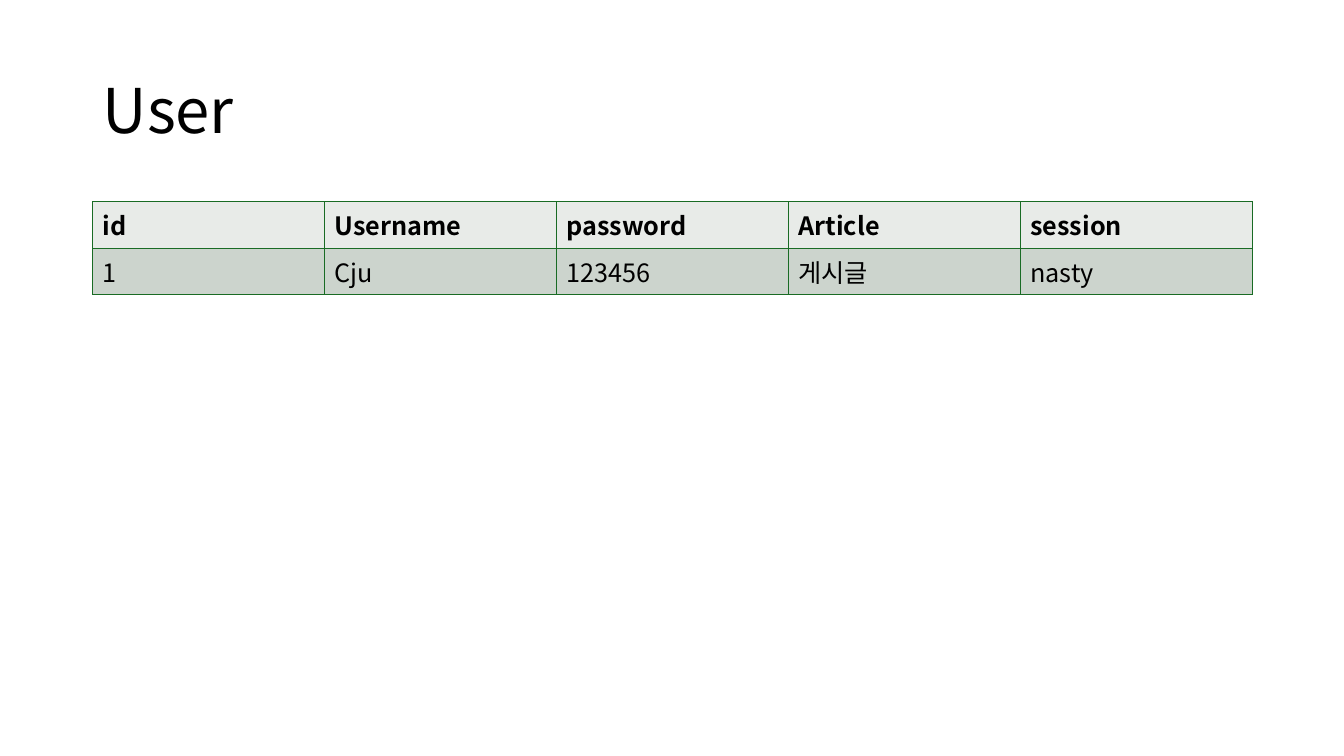
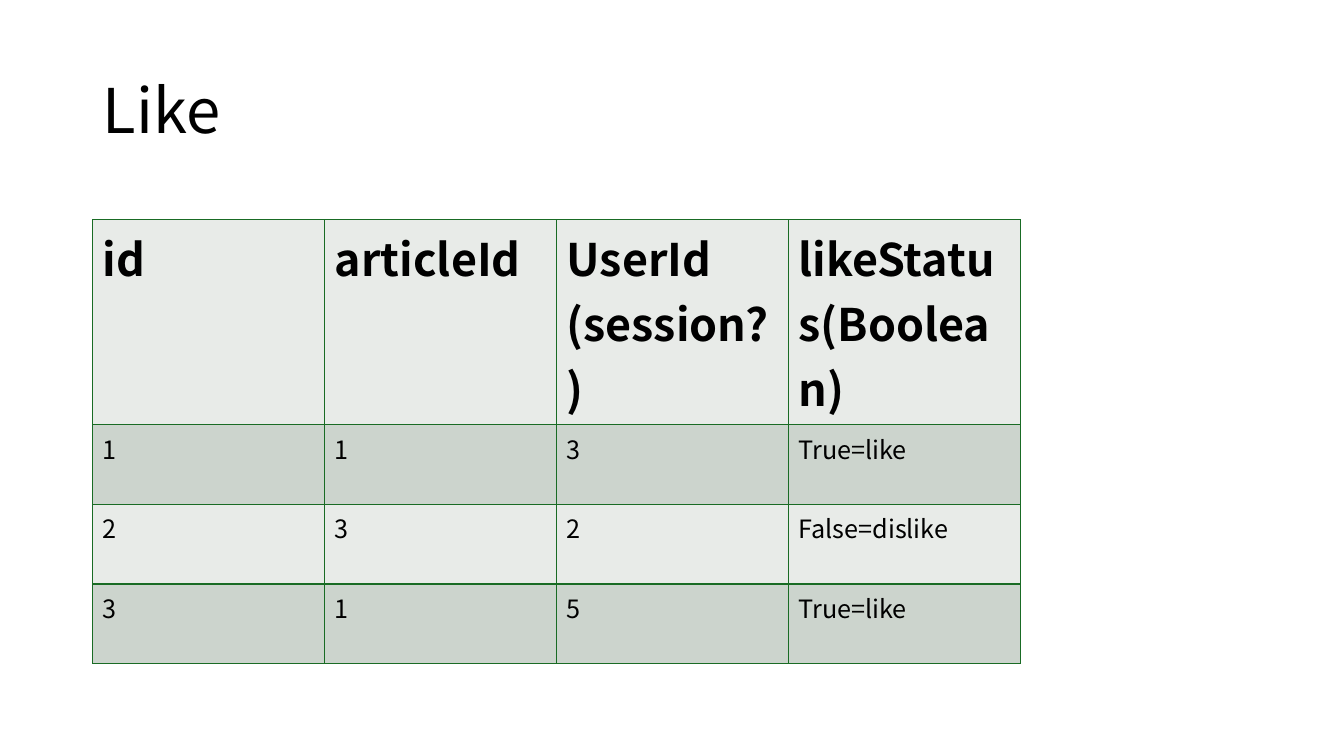
import pptx
import pptx.util
import pptx.dml.color
import pptx.enum.text
import pptx.oxml
import pptx.oxml.ns
import lxml.etree

Inches = pptx.util.Inches
Pt = pptx.util.Pt
qn = pptx.oxml.ns.qn

FONT = "Noto Sans CJK KR"
COLORS = {"text": "000000", "pale": "E8EBE8", "band": "CCD4CD", "line": "196B24"}
GRID_STYLE = "{5940675A-B579-460E-94D1-54222C63F5DA}"
LEFT = 0.92
COL = 2.3


def rgb(name):
    return pptx.dml.color.RGBColor.from_string(COLORS[name])


class Deck:
    def __init__(self):
        self.prs = pptx.Presentation()
        self.prs.slide_width = Inches(13.33)
        self.prs.slide_height = Inches(7.5)
        self.slide = None

    def style(self, para, size, bold=False):
        font = para.font
        font.size = Pt(size)
        font.bold = bold
        font.color.rgb = rgb("text")
        font.name = FONT
        # Hangul takes its typeface from the East Asian font
        props = para._p.pPr.find(qn("a:defRPr"))
        lxml.etree.SubElement(props, qn("a:ea"), typeface=FONT)

    def page(self, title):
        self.slide = self.prs.slides.add_slide(self.prs.slide_layouts[5])
        shape = self.slide.shapes.title
        shape.left, shape.top = Inches(LEFT), Inches(0.4)
        shape.width, shape.height = Inches(11.5), Inches(1.45)
        frame = shape.text_frame
        frame.text = title
        frame.auto_size = pptx.enum.text.MSO_AUTO_SIZE.NONE
        frame.vertical_anchor = pptx.enum.text.MSO_ANCHOR.MIDDLE
        para = frame.paragraphs[0]
        para.alignment = pptx.enum.text.PP_ALIGN.LEFT
        para.line_spacing = 0.9
        self.style(para, 44)

    def border(self, cell):
        props = cell._tc.get_or_add_tcPr()
        for side in ("lnL", "lnR", "lnT", "lnB"):
            line = lxml.etree.SubElement(props, qn("a:" + side), w=str(Pt(1)))
            fill = lxml.etree.SubElement(line, qn("a:solidFill"))
            lxml.etree.SubElement(fill, qn("a:srgbClr"), val=COLORS["line"])

    def table(self, top, height, rows, head=18):
        """Draw rows of equal height; head is the text size of the first."""
        count = len(rows[0])
        table = self.slide.shapes.add_table(
            len(rows), count, Inches(LEFT), Inches(top),
            Inches(COL * count), Inches(height * len(rows))).table
        table._tbl.tblPr.find(qn("a:tableStyleId")).text = GRID_STYLE
        table.horz_banding = False
        for r, row in enumerate(rows):
            table.rows[r].height = Inches(height)
            for c, text in enumerate(row):
                cell = table.cell(r, c)
                cell.text = text
                self.border(cell)
                cell.fill.solid()
                cell.fill.fore_color.rgb = rgb("band" if r % 2 else "pale")
                for para in cell.text_frame.paragraphs:
                    self.style(para, 18 if r else head, bold=r == 0)


def main():
    deck = Deck()
    deck.page("User")
    deck.table(2, 0.41, [
        ["id", "Username", "password", "Article", "session"],
        ["1", "Cju", "123456", "게시글", "nasty"],
    ])
    deck.page("Like")
    deck.table(2.18, 0.79, [
        ["id", "articleId", "UserId\n(session?)", "likeStatus(Boolean)"],
        ["1", "1", "3", "True=like"],
        ["2", "3", "2", "False=dislike"],
        ["3", "1", "5", "True=like"],
    ], head=32)
    deck.prs.save("out.pptx")


if __name__ == "__main__":
    main()
